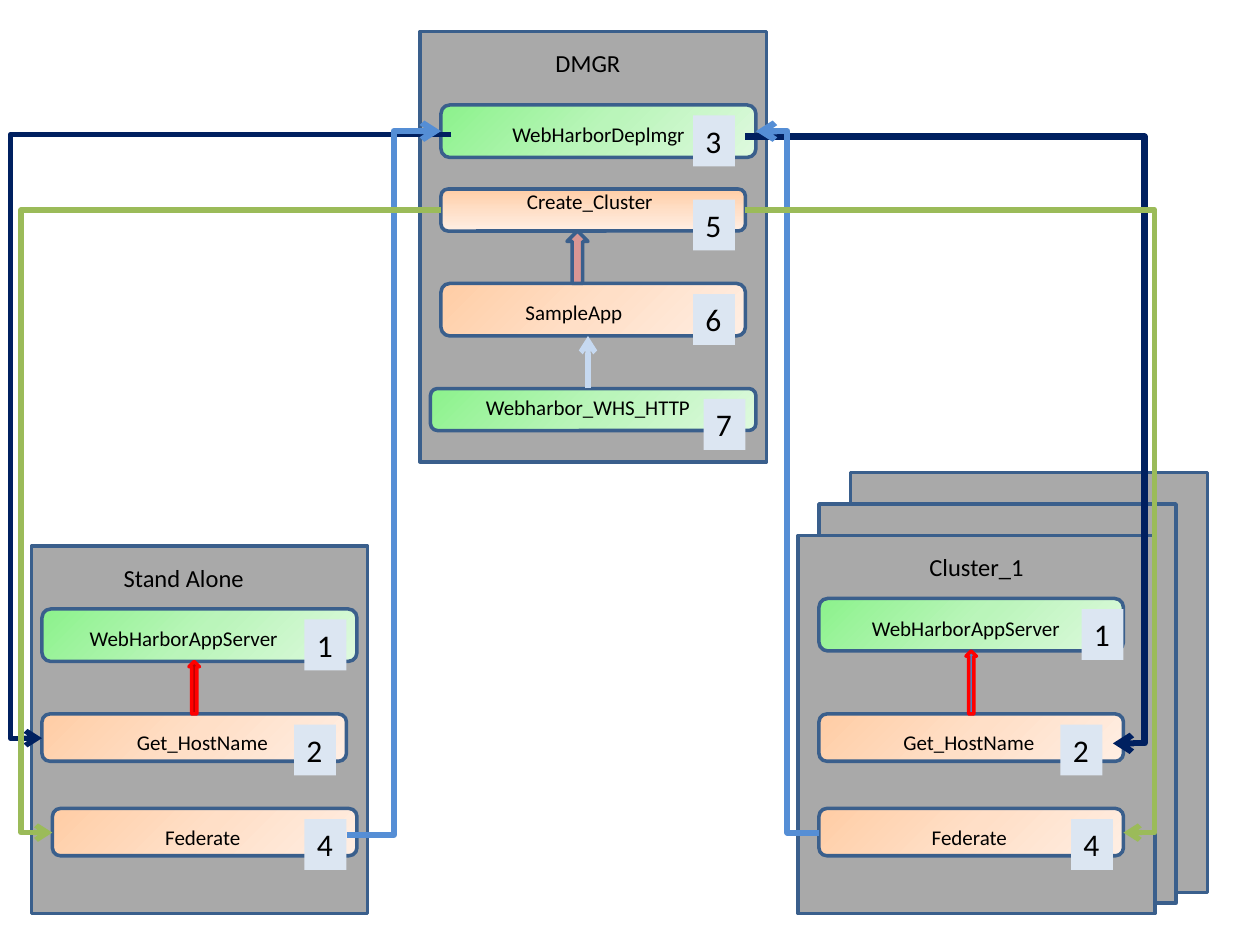
from copy import deepcopy

from pptx import Presentation
from pptx.dml.color import RGBColor
from pptx.enum.shapes import MSO_CONNECTOR, MSO_SHAPE
from pptx.enum.text import MSO_ANCHOR, PP_ALIGN
from pptx.oxml.ns import qn
from pptx.oxml.xmlchemy import OxmlElement
from pptx.util import Cm, Pt

# Places and sizes count grid steps, twelve to the inch
STEP = 2.54 / 12
FONT = "Calibri"
BLACK, OUTLINE, PANEL, BADGE = "000000", "3A5F8C", "A9A9A9", "DCE6F2"
GREEN = ("8CF28C", "BAF5BA", "DEF9DE")
ORANGE = ("FFCDA5", "FFDFC7", "FFEEE3")
NAVY, BLUE, OLIVE, PALE = "002060", "558ED5", "9BBB59", "C6D9F1"

# Content: left, top, width, height
panels = [(40, 3, 33, 41), (3, 52, 32, 35),
          (81, 45, 34, 40), (78, 48, 34, 38), (76, 51, 34, 36)]
headings = [("DMGR", (44, 4, 24, 4.1)),
            ("Stand Alone", (6, 53, 23, 4.1)),
            ("Cluster_1", (79, 52, 28, 4.1))]

# Recipe: box, colours, gradient angle, caption, caption box, indent in cm (None = centred)
recipes = [
    ((42, 10, 30, 5), GREEN, 45, "WebHarborDeplmgr", (43, 11, 28, 3.6), None),
    ((42, 18, 29, 4), ORANGE, 90, "Create_Cluster", (49, 14, 16, 7.3), 0),
    ((42, 27, 29, 5), ORANGE, 45, "SampleApp", (43, 27, 26, 4.8), 1.24),
    ((41, 37, 31, 4), GREEN, 45, "Webharbor_WHS_HTTP", (42, 37, 28, 3.6), None),
    ((4, 58, 30, 5), GREEN, 45, "WebHarborAppServer", (7, 59, 21, 3.6), None),
    ((78, 57, 29, 5), GREEN, 45, "WebHarborAppServer", (80, 58, 24, 3.6), None),
    ((4, 68, 29, 4.5), ORANGE, 45, "Get_HostName", (6, 68, 27, 4.8), 1.24),
    ((78, 68, 29, 4.5), ORANGE, 45, "Get_HostName", (79, 68, 27, 4.8), 1.24),
    ((5, 77, 29, 4.5), ORANGE, 45, "Federate", (6, 77, 27, 4.8), 1.81),
    ((78, 77, 29, 4.5), ORANGE, 45, "Federate", (79, 77, 27, 4.8), 1.81),
]
server_arrows = [((18, 63, 1, 5), "C00000", "FF0000"),
                 ((92, 62, 1, 6), "4F81BD", "FF0000")]
cluster_arrow = ((54, 22, 2, 5), "D99694", OUTLINE)

# Connector: start, end, x of the vertical run (None = straight), colour, points
connectors = [
    ((43, 12.8), (4, 70.3), 1, NAVY, 3),
    ((71, 13), (106, 70.8), 109, NAVY, 3.5),
    ((33, 79.5), (42, 12.5), 37.5, BLUE, 3.5),
    ((78, 79.3), (72, 12.5), 75, BLUE, 3.5),
    ((42, 20), (5, 79.3), 2, OLIVE, 3),
    ((71, 20), (107, 79.3), 110, OLIVE, 3),
    ((56, 37), (56, 32), None, PALE, 3),
]
badges = [("5", 66, 19), ("1", 103, 58), ("6", 66, 28), ("2", 101, 69),
          ("4", 29, 78), ("4", 102, 78), ("3", 66, 11), ("7", 67, 38),
          ("2", 28, 69), ("1", 29, 59)]


def color(hex_text):
    return RGBColor.from_string(hex_text)


def grid(values):
    return [Cm(value * STEP) for value in values]


def add_block(kind, place, fill, outline=OUTLINE):
    block = page.shapes.add_shape(kind, *grid(place))
    block.shadow.inherit = False
    if fill:
        block.fill.solid()
        block.fill.fore_color.rgb = color(fill)
    block.line.color.rgb = color(outline)
    block.line.width = Pt(2)
    return block


def add_gradient(block, colors, angle):
    block.fill.gradient()
    stop_list = next(block._element.iter(qn("a:gsLst")))
    stop_list.insert(1, deepcopy(stop_list[0]))
    for index, stop in enumerate(block.fill.gradient_stops):
        stop.position = index / 2
        stop.color.rgb = color(colors[index])
    block.fill.gradient_angle = 360 - angle


def add_text(text, place, size, align=PP_ALIGN.CENTER):
    box = page.shapes.add_textbox(*grid(place))
    box.text_frame.word_wrap = True
    para = box.text_frame.paragraphs[0]
    para.text = text
    para.alignment = align
    para.font.name = FONT
    para.font.size = Pt(size)
    para.font.color.rgb = color(BLACK)
    return box


def add_arrow(start, end, lane, stroke, points):
    kind = MSO_CONNECTOR.STRAIGHT if lane is None else MSO_CONNECTOR.ELBOW
    arrow = page.shapes.add_connector(kind, *grid(start + end))
    arrow.line.color.rgb = color(stroke)
    arrow.line.width = Pt(points)
    tail = OxmlElement("a:tailEnd")
    tail.set("type", "arrow")
    properties = arrow._element.spPr
    properties.find(qn("a:ln")).append(tail)
    properties.append(OxmlElement("a:effectLst"))
    if lane is not None:
        bend = (lane - start[0]) / (end[0] - start[0])
        guide = OxmlElement("a:gd")
        guide.set("name", "adj1")
        guide.set("fmla", f"val {round(bend * 100000)}")
        next(properties.iter(qn("a:avLst"))).append(guide)


deck = Presentation()
deck.slide_width, deck.slide_height = Cm(25.4), Cm(19.05)
page = deck.slides.add_slide(deck.slide_layouts[6])

# Server panels and headings
for place in panels:
    add_block(MSO_SHAPE.RECTANGLE, place, PANEL)
for text, place in headings:
    add_text(text, place, 14)

# Recipes with captions
for place, colors, angle, text, text_place, indent in recipes:
    add_gradient(add_block(MSO_SHAPE.ROUNDED_RECTANGLE, place, None), colors, angle)
    if indent is None:
        add_text(text, text_place, 12)
    else:
        frame = add_text(text, text_place, 12, PP_ALIGN.LEFT).text_frame
        frame.vertical_anchor = MSO_ANCHOR.BOTTOM
        frame.margin_left = Cm(0.25 + indent)
        frame.margin_bottom = Cm(0.19)

# Arrows
for place, fill, outline in server_arrows:
    add_block(MSO_SHAPE.UP_ARROW, place, fill, outline)
for connector in connectors[:-1]:
    add_arrow(*connector)
add_block(MSO_SHAPE.UP_ARROW, *cluster_arrow)
add_arrow(*connectors[-1])

# Step numbers
for number, left, top in badges:
    badge = add_text(number, (left, top, 4, 4.85), 18, PP_ALIGN.LEFT)
    badge.fill.solid()
    badge.fill.fore_color.rgb = color(BADGE)

deck.save("out.pptx")
